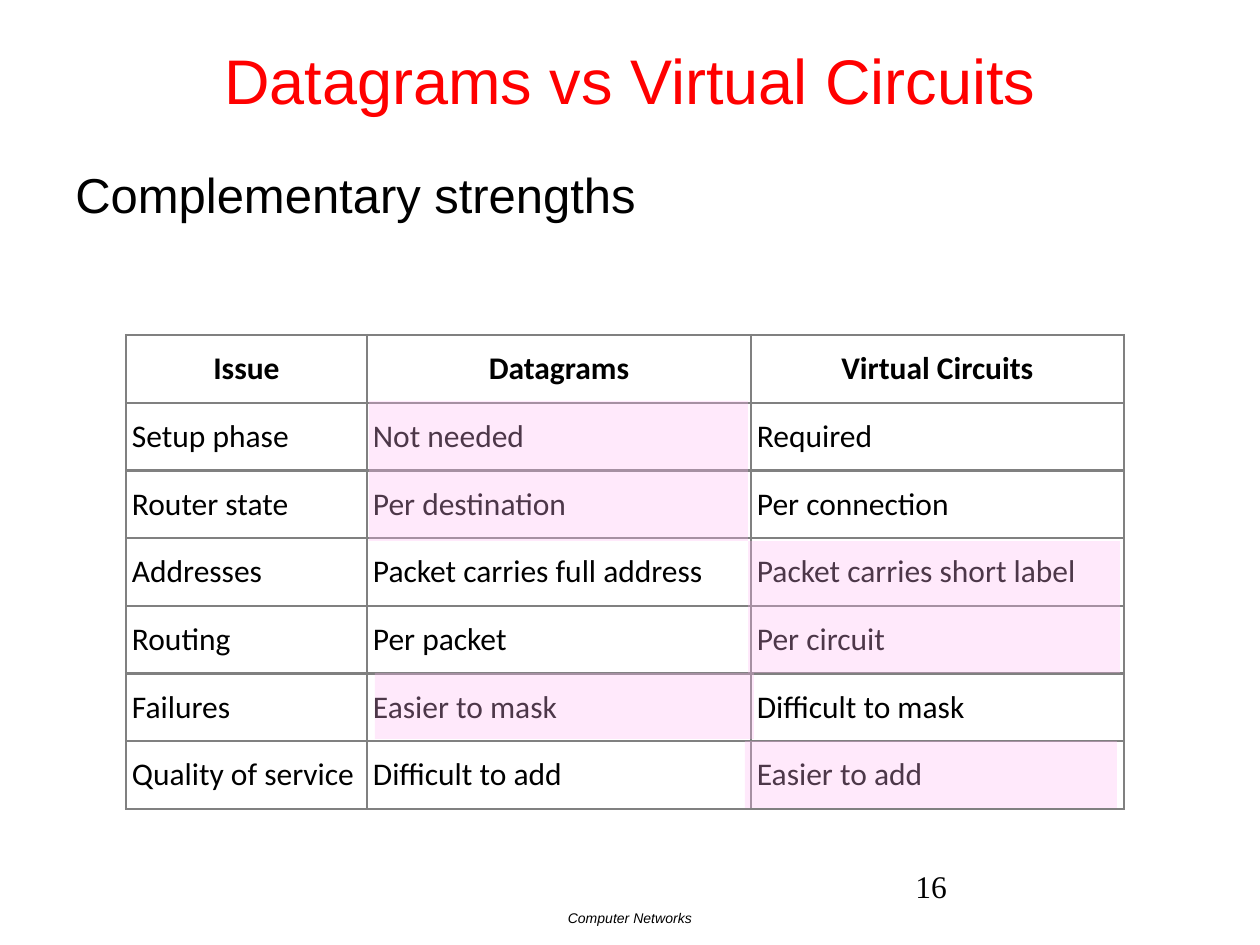
from dataclasses import dataclass

import pptx
import pptx.dml.color
import pptx.enum.shapes
import pptx.enum.text
import pptx.oxml
import pptx.oxml.ns
import pptx.util

EMU_PER_PX = 914400 / 126
ALIGN = pptx.enum.text.PP_ALIGN
MIDDLE = pptx.enum.text.MSO_ANCHOR.MIDDLE
TOP = pptx.enum.text.MSO_ANCHOR.TOP
NAMESPACE = pptx.oxml.ns.nsdecls("a")


@dataclass
class Box:
    left: int
    top: int
    width: int
    height: int


@dataclass
class Style:
    font: str
    size: int
    color: str = "000000"
    bold: bool = False
    italic: bool = False
    align: ALIGN = ALIGN.LEFT


@dataclass
class Label:
    box: Box
    text: str
    style: Style
    anchor: pptx.enum.text.MSO_ANCHOR = TOP
    space_before: int = 0


def px(length: float) -> int:
    return round(length * EMU_PER_PX)


def place(box: Box) -> tuple:
    return px(box.left), px(box.top), px(box.width), px(box.height)


def rgb(color: str) -> pptx.dml.color.RGBColor:
    return pptx.dml.color.RGBColor.from_string(color)


def add_run(paragraph, text: str, style: Style) -> None:
    paragraph.alignment = style.align
    run = paragraph.add_run()
    run.text = text
    run.font.name = style.font
    run.font.size = pptx.util.Pt(style.size)
    run.font.bold = style.bold
    run.font.italic = style.italic
    run.font.color.rgb = rgb(style.color)


def add_label(slide, label: Label) -> None:
    frame = slide.shapes.add_textbox(*place(label.box)).text_frame
    frame.word_wrap = True
    frame.vertical_anchor = label.anchor
    paragraph = frame.paragraphs[0]
    paragraph.space_before = pptx.util.Pt(label.space_before)
    add_run(paragraph, label.text, label.style)


def add_borders(cell, color: str, points: float) -> None:
    properties = cell._tc.get_or_add_tcPr()
    for index, side in enumerate(("lnL", "lnR", "lnT", "lnB")):
        properties.insert(index, pptx.oxml.parse_xml(
            f'<a:{side} {NAMESPACE} w="{pptx.util.Pt(points)}"><a:solidFill>'
            f'<a:srgbClr val="{color}"/></a:solidFill></a:{side}>'))


def add_comparison(slide, box: Box, widths: list[int], rows: list[tuple]) -> None:
    table = slide.shapes.add_table(len(rows), len(widths), *place(box)).table
    table.horz_banding = False
    for column, width in zip(table.columns, widths):
        column.width = px(width)
    for row_index, texts in enumerate(rows):
        table.rows[row_index].height = px(box.height / len(rows))
        style = HEADER if row_index == 0 else ENTRY
        for column_index, text in enumerate(texts):
            cell = table.cell(row_index, column_index)
            cell.fill.background()
            cell.vertical_anchor = MIDDLE
            cell.margin_left = cell.margin_right = px(6)
            cell.margin_top = cell.margin_bottom = px(4)
            add_run(cell.text_frame.paragraphs[0], text, style)
            add_borders(cell, "808080", 1.5)


def add_highlight(slide, box: Box) -> None:
    shape = slide.shapes.add_shape(
        pptx.enum.shapes.MSO_SHAPE.RECTANGLE, *place(box))
    shape.shadow.inherit = False
    shape.line.fill.background()
    shape.fill.solid()
    shape.fill.fore_color.rgb = rgb("FFB8F2")
    color = shape._element.spPr.find(".//" + pptx.oxml.ns.qn("a:srgbClr"))
    color.append(pptx.oxml.parse_xml(f'<a:alpha {NAMESPACE} val="30000"/>'))


HEADER = Style("Calibri", 18, bold=True, align=ALIGN.CENTER)
ENTRY = Style("Calibri", 18)

LABELS = [
    Label(Box(0, 0, 1260, 158), "Datagrams vs Virtual Circuits",
          Style("Arial", 36, "FF0000", align=ALIGN.CENTER), MIDDLE),
    Label(Box(63, 158, 1134, 670), "Complementary strengths",
          Style("Arial", 28), space_before=18),
    Label(Box(0, 903, 1260, 42), "Computer Networks",
          Style("Arial", 8, italic=True, align=ALIGN.CENTER)),
    Label(Box(903, 861, 262, 63), "16", Style("Times New Roman", 18)),
]

COMPARISON = [
    ("Issue", "Datagrams", "Virtual Circuits"),
    ("Setup phase", "Not needed", "Required"),
    ("Router state", "Per destination", "Per connection"),
    ("Addresses", "Packet carries full address", "Packet carries short label"),
    ("Routing", "Per packet", "Per circuit"),
    ("Failures", "Easier to mask", "Difficult to mask"),
    ("Quality of service", "Difficult to add", "Easier to add"),
]

# Stronger side of each issue
HIGHLIGHTS = [
    Box(369, 401, 379, 140),
    Box(748, 541, 372, 132),
    Box(745, 741, 372, 67),
    Box(375, 673, 379, 66),
]


def main() -> None:
    presentation = pptx.Presentation()
    presentation.slide_width = px(1260)
    presentation.slide_height = px(945)
    slide = presentation.slides.add_slide(presentation.slide_layouts[6])

    # Title, subtitle, footer and page number
    for label in LABELS:
        add_label(slide, label)

    # Comparison table with highlights over it
    add_comparison(slide, Box(126, 335, 998, 474), [241, 384, 373], COMPARISON)
    for box in HIGHLIGHTS:
        add_highlight(slide, box)

    presentation.save("out.pptx")


if __name__ == "__main__":
    main()
